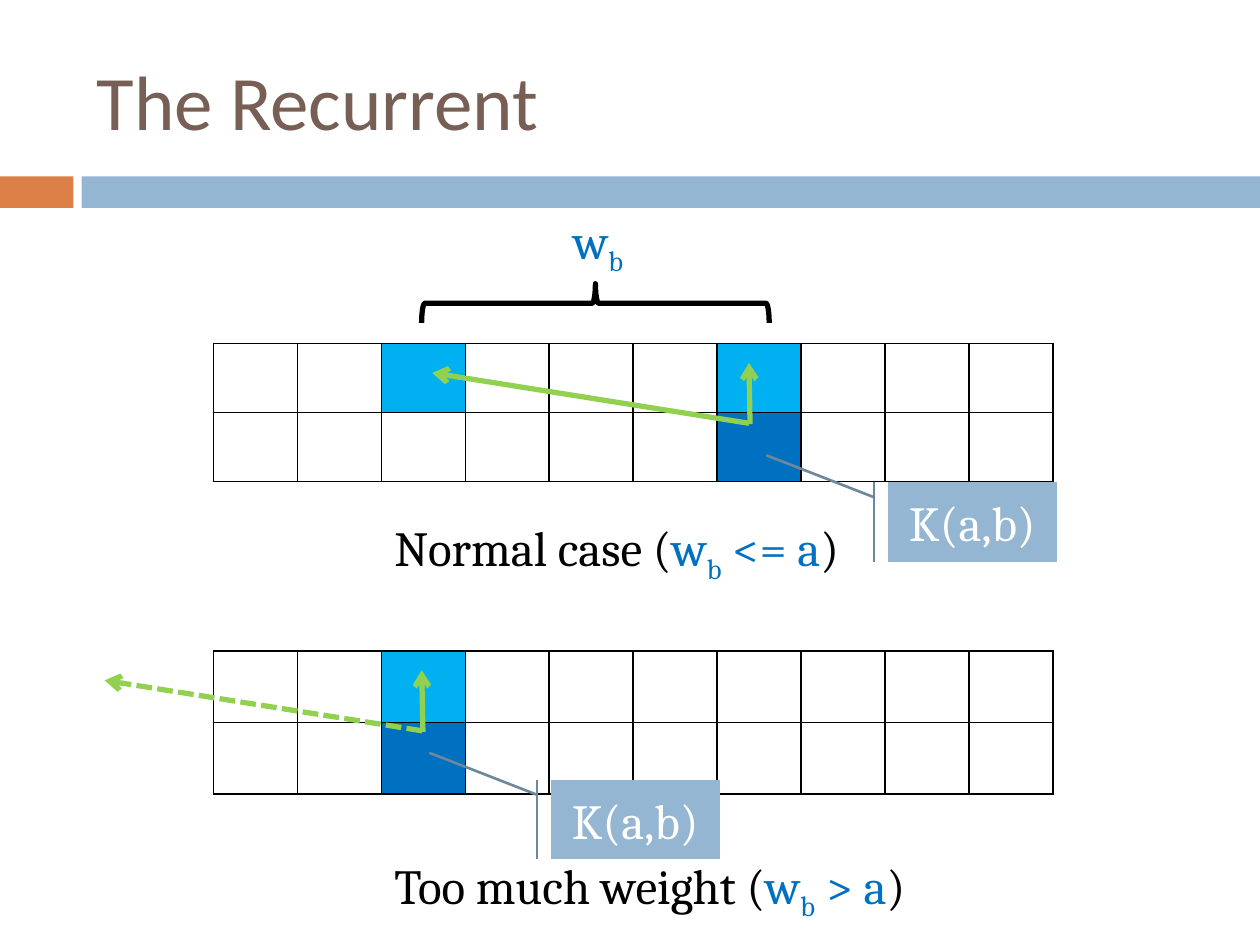
from lxml.etree import SubElement
from pptx import Presentation
from pptx.dml.color import RGBColor
from pptx.enum.dml import MSO_LINE
from pptx.enum.shapes import MSO_CONNECTOR, MSO_SHAPE
from pptx.enum.text import MSO_ANCHOR, MSO_AUTO_SIZE, PP_ALIGN
from pptx.oxml.ns import qn
from pptx.util import Pt

COLORS = {
    "title": "775F55", "orange": "DD8047", "band": "94B6D2", "edge": "6D879B",
    "text": "000000", "white": "FFFFFF", "light": "00B0F0", "dark": "0070C0",
    "arrow": "92D050",
}

# Content: text runs are (text, color name, baseline in percent)
TITLE = [("The Recurrent", "title", 0)]
WEIGHT = [("w", "dark", 0), ("b", "dark", -25)]
VALUE = [("K(a,b)", "white", 0)]


def caption(words, condition):
    return [(f"{words} (", "text", 0), *WEIGHT, (condition, "dark", 0), (")", "text", 0)]


# Lengths in points; marked cells are (row, column): color name
COLUMNS, COLUMN_WIDTH, GRID_LEFT = 10, 48, 121.9
CASES = [
    {"top": 196.3, "row_height": 39.4,
     "marked": {(0, 2): "light", (0, 6): "light", (1, 6): "dark"},
     "caption": caption("Normal case", " <= a"), "caption_box": (218.2, 292.3, 281, 41.2),
     "callout": (507.4, 275.6)},
    {"top": 372, "row_height": 40.9,
     "marked": {(0, 2): "light", (1, 2): "dark"},
     "caption": caption("Too much weight", " > a"), "caption_box": (218.2, 485.2, 322.6, 41.2),
     "callout": (314.8, 445.6)},
]
# Start, end, dotted
ARROWS = [
    ((241.2, 417.6), (59.8, 388.8), True),
    ((428.6, 242.4), (428, 207.4), False),
    ((241.7, 418.3), (241, 383), False),
    ((428, 241.9), (247, 213.1), False),
]
CALLOUT_SIZE = (96.5, 45.4)
CALLOUT_ADJUSTMENTS = (0.188, -0.083, -0.34, -0.72)


def color(name):
    return RGBColor.from_string(COLORS[name])


def write_text(shape, runs, font="Cambria", size=28, align=PP_ALIGN.LEFT,
               anchor=MSO_ANCHOR.TOP, wrap=True, auto_size=MSO_AUTO_SIZE.NONE):
    frame = shape.text_frame
    frame.word_wrap, frame.auto_size, frame.vertical_anchor = wrap, auto_size, anchor
    paragraph = frame.paragraphs[0]
    paragraph.alignment = align
    for text, color_name, baseline in runs:
        run = paragraph.add_run()
        run.text = text
        run.font.name, run.font.size = font, Pt(size)
        run.font.color.rgb = color(color_name)
        if baseline:
            run._r.get_or_add_rPr().set("baseline", str(baseline * 1000))


def add_label(slide, box, runs):
    label = slide.shapes.add_textbox(*map(Pt, box))
    write_text(label, runs, wrap=False, auto_size=MSO_AUTO_SIZE.SHAPE_TO_FIT_TEXT)


def add_shape(slide, kind, box, fill=None, line=None, width=1):
    shape = slide.shapes.add_shape(kind, *map(Pt, box))
    shape.shadow.inherit = False
    for part, name in ((shape.fill, fill), (shape.line.fill, line)):
        if name:
            part.solid()
            part.fore_color.rgb = color(name)
        else:
            part.background()
    if line:
        shape.line.width = Pt(width)
    return shape


def set_borders(cell):
    properties = cell._tc.get_or_add_tcPr()
    for position, side in enumerate(("a:lnL", "a:lnR", "a:lnT", "a:lnB")):
        border = properties.makeelement(qn(side), {"w": str(Pt(1))})
        properties.insert(position, border)
        fill = SubElement(border, qn("a:solidFill"))
        SubElement(fill, qn("a:srgbClr"), val=COLORS["text"])


def add_grid(slide, top, row_height, marked):
    table = slide.shapes.add_table(2, COLUMNS, Pt(GRID_LEFT), Pt(top),
                                   Pt(COLUMNS * COLUMN_WIDTH), Pt(2 * row_height)).table
    table.first_row = table.horz_banding = False
    for column in table.columns:
        column.width = Pt(COLUMN_WIDTH)
    for row_index, row in enumerate(table.rows):
        row.height = Pt(row_height)
        for column_index, cell in enumerate(row.cells):
            name = marked.get((row_index, column_index))
            if name:
                cell.fill.solid()
                cell.fill.fore_color.rgb = color(name)
            else:
                cell.fill.background()
            set_borders(cell)


def add_arrow(slide, start, end, dotted):
    arrow = slide.shapes.add_connector(MSO_CONNECTOR.STRAIGHT, *map(Pt, start + end))
    arrow.line.color.rgb = color("arrow")
    arrow.line.width = Pt(3)
    if dotted:
        arrow.line.dash_style = MSO_LINE.SQUARE_DOT
    SubElement(arrow.line._get_or_add_ln(), qn("a:tailEnd"), type="arrow")
    SubElement(arrow._element.spPr, qn("a:effectLst"))


def add_callout(slide, position):
    callout = add_shape(slide, MSO_SHAPE.LINE_CALLOUT_1_ACCENT_BAR,
                        position + CALLOUT_SIZE, "band", "edge", 1.5)
    for index, value in enumerate(CALLOUT_ADJUSTMENTS):
        callout.adjustments[index] = value
    write_text(callout, VALUE, align=PP_ALIGN.CENTER, anchor=MSO_ANCHOR.MIDDLE)


def main():
    presentation = Presentation()
    presentation.slide_width, presentation.slide_height = Pt(720), Pt(540)
    slide = presentation.slides.add_slide(presentation.slide_layouts[5])

    # Title and the bar below it
    add_shape(slide, MSO_SHAPE.RECTANGLE, (0, 100.8, 42, 18), "orange")
    add_shape(slide, MSO_SHAPE.RECTANGLE, (46.6, 100.8, 673.4, 18), "band")
    title = slide.shapes.title
    title.left, title.top, title.width, title.height = map(Pt, (48, 18, 642, 78))
    write_text(title, TITLE, font="Calibri", size=44, anchor=MSO_ANCHOR.MIDDLE)

    # Grids with captions
    for case in CASES:
        add_grid(slide, case["top"], case["row_height"], case["marked"])
        add_label(slide, case["caption_box"], case["caption"])

    # Arrows to the earlier cells
    for start, end, dotted in ARROWS:
        add_arrow(slide, start, end, dotted)

    # Weight brace
    brace = add_shape(slide, MSO_SHAPE.LEFT_BRACE, (329, 74, 22.4, 198.6), line="text", width=3)
    brace.rotation = 90
    add_label(slide, (320.4, 116.6, 46.8, 41.2), WEIGHT)

    # Callouts on the current cells
    for case in CASES:
        add_callout(slide, case["callout"])

    presentation.save("out.pptx")


if __name__ == "__main__":
    main()
